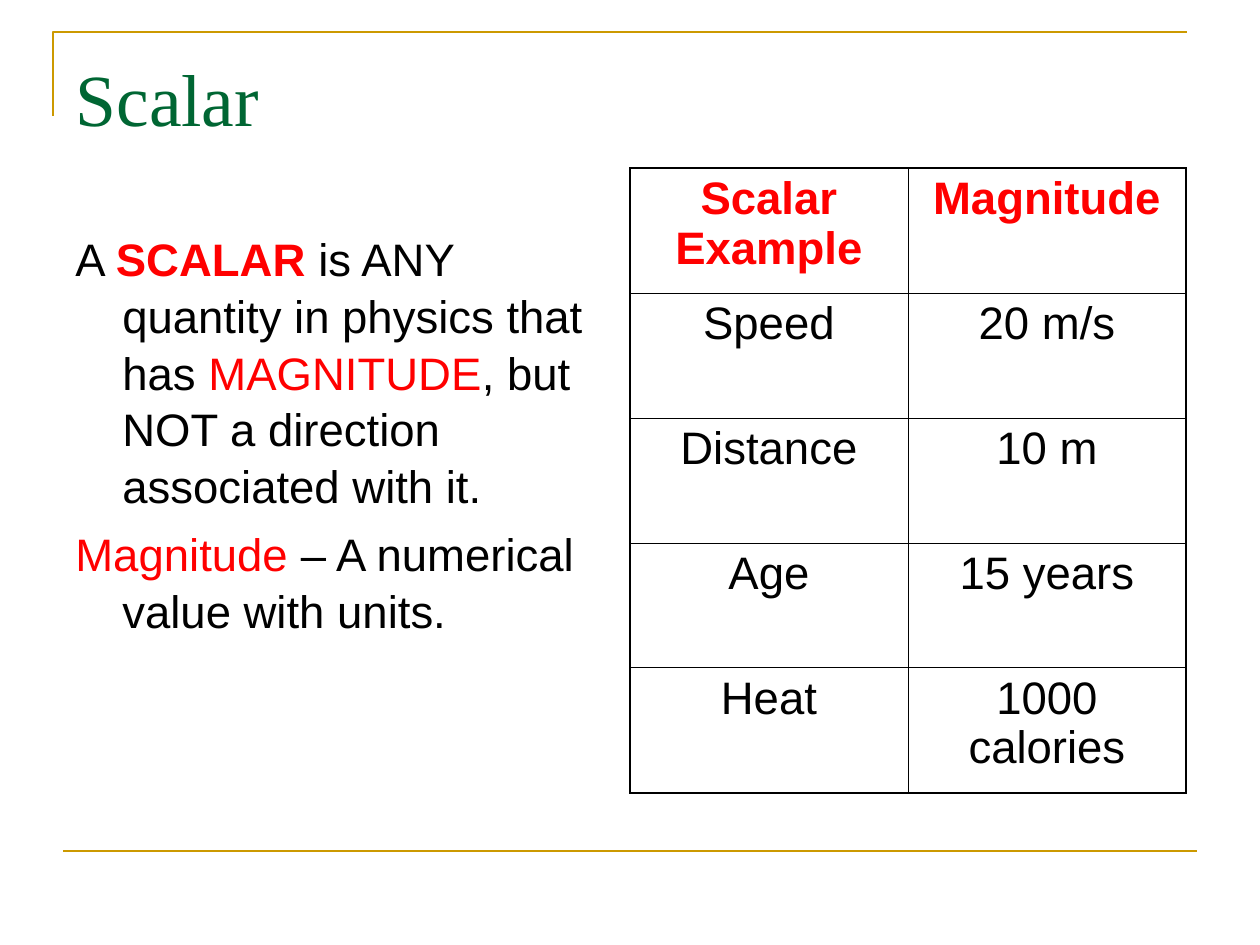
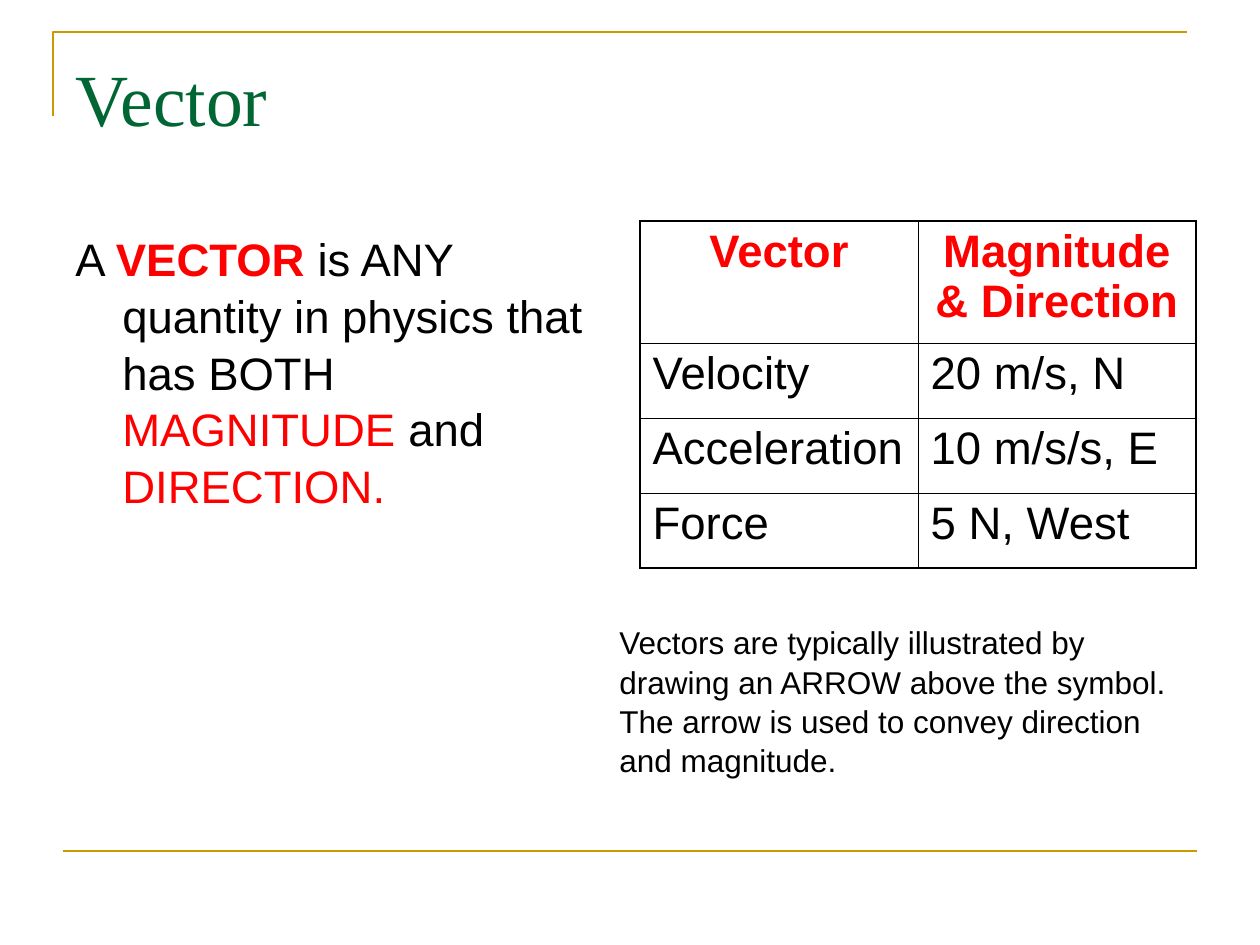
from lxml.etree import SubElement
from pptx import Presentation
from pptx.dml.color import RGBColor
from pptx.enum.shapes import MSO_CONNECTOR
from pptx.enum.text import MSO_ANCHOR, PP_ALIGN
from pptx.oxml.ns import qn
from pptx.util import Emu, Pt

COLORS = {"gold": "CC9900", "green": "006633", "red": "FF0000", "black": "000000"}
SERIF, SANS = "Times New Roman", "Arial"
OUTER, INNER = 1.08, 0.45


def px(n):
    return Emu(round(n * 914400 / 126))


def rgb(name):
    return RGBColor.from_string(COLORS[name])


def add_text(p, text, size=26, font=SANS, color="black", bold=False):
    r = p.add_run()
    r.text = text
    r.font.size, r.font.name, r.font.bold = Pt(size), font, bold
    r.font.color.rgb = rgb(color)


class Deck:
    """Holds the shared style and the current slide."""

    def __init__(self):
        self.prs = Presentation()
        self.prs.slide_width, self.prs.slide_height = px(1260), px(945)
        self.layout = self.prs.slide_layouts[5]
        self.s = None

    def slide(self, title):
        first = self.s is None
        self.s = self.prs.slides.add_slide(self.layout)
        if first:
            self.frame()
        sp = self.s.shapes.title
        sp.left, sp.top, sp.width, sp.height = map(px, (63, 38, 1134, 157))
        tf = self.text_frame(sp, top_inset=15)
        tf.paragraphs[0].alignment = PP_ALIGN.LEFT
        add_text(tf.paragraphs[0], title, size=42, font=SERIF, color="green")

    def frame(self):
        shapes = self.s.shapes
        fb = shapes.build_freeform(px(53), px(116))
        fb.add_line_segments([(px(53), px(32)), (px(1187), px(32))], close=False)
        corner = fb.convert_to_shape()
        corner.fill.background()
        corner.shadow.inherit = False
        rule = shapes.add_connector(MSO_CONNECTOR.STRAIGHT, px(63), px(851), px(1197), px(851))
        SubElement(rule.element.spPr, qn("a:effectLst"))
        for i, sp in enumerate((corner, rule), 20):
            sp.line.color.rgb = rgb("gold")
            sp.line.width = Pt(1.5)
            sp.element.xpath(".//p:cNvPr")[0].set("id", str(i))
            self.layout.shapes.element.append(sp.element)

    def text_frame(self, sp, top_inset):
        tf = sp.text_frame
        tf.word_wrap = True
        tf.vertical_anchor = MSO_ANCHOR.TOP
        tf.margin_top = px(top_inset)
        return tf

    def text(self, x, y, w, h, paragraphs, size=26, hanging=0, before=0, top_inset=9):
        sp = self.s.shapes.add_textbox(px(x), px(y), px(w), px(h))
        tf = self.text_frame(sp, top_inset)
        for i, runs in enumerate(paragraphs):
            p = tf.add_paragraph() if i else tf.paragraphs[0]
            p.line_spacing = 1.04
            p.space_before = Pt(before if i else 0)
            pPr = p._p.get_or_add_pPr()
            pPr.set("marL", str(px(hanging)))
            pPr.set("indent", str(-px(hanging)))
            for text, fmt in runs:
                add_text(p, text, size=size, **fmt)

    def definition(self, *paragraphs):
        self.text(63, 220, 557, 624, paragraphs, hanging=47, before=6.5)

    def table(self, x, y, col_width, row_heights, rows, align):
        n_rows, n_cols = len(rows), len(rows[0])
        tbl = self.s.shapes.add_table(n_rows, n_cols, px(x), px(y),
                                      px(col_width * n_cols), px(sum(row_heights))).table
        tbl.first_row = tbl.horz_banding = False
        for col in tbl.columns:
            col.width = px(col_width)
        for i, (height, row) in enumerate(zip(row_heights, rows)):
            tbl.rows[i].height = px(height)
            for j, text in enumerate(row):
                cell = tbl.cell(i, j)
                edges = {"L": j == 0, "R": j == n_cols - 1, "T": i == 0, "B": i == n_rows - 1}
                self.borders(cell, edges)
                cell.fill.background()
                p = cell.text_frame.paragraphs[0]
                p.line_spacing = 0.98
                p.alignment = align if i else PP_ALIGN.CENTER
                add_text(p, text, color="black" if i else "red", bold=i == 0)

    def borders(self, cell, edges):
        tcPr = cell._tc.get_or_add_tcPr()
        for side, outer in edges.items():
            ln = SubElement(tcPr, qn(f"a:ln{side}"), w=str(Pt(OUTER if outer else INNER)))
            fill = SubElement(ln, qn("a:solidFill"))
            SubElement(fill, qn("a:srgbClr"), val=COLORS["black"])


def main():
    plain, red, strong = {}, {"color": "red"}, {"color": "red", "bold": True}
    deck = Deck()

    deck.slide("Scalar")
    deck.definition(
        [("A ", plain), ("SCALAR", strong), (" is ANY quantity in physics that has ", plain),
         ("MAGNITUDE", red), (", but NOT a direction associated with it.", plain)],
        [("Magnitude", red), (" – A numerical value with units.", plain)])
    deck.table(630, 168, 278, [125] * 5, [
        ("Scalar Example", "Magnitude"),
        ("Speed", "20 m/s"),
        ("Distance", "10 m"),
        ("Age", "15 years"),
        ("Heat", "1000 calories")], PP_ALIGN.CENTER)

    deck.slide("Vector")
    deck.definition(
        [("A ", plain), ("VECTOR", strong), (" is ANY quantity in physics that has BOTH ", plain),
         ("MAGNITUDE", red), (" and ", plain), ("DIRECTION.", red)])
    deck.table(640, 221, 278, [122] + [75] * 3, [
        ("Vector", "Magnitude & Direction"),
        ("Velocity", "20 m/s, N"),
        ("Acceleration", "10 m/s/s, E"),
        ("Force", "5 N, West")], PP_ALIGN.LEFT)
    deck.text(607, 614, 580, 164, [[(
        "Vectors are typically illustrated by drawing an ARROW above the symbol. "
        "The arrow is used to convey direction and magnitude.", plain)]],
        size=18, top_inset=8)

    deck.prs.save("out.pptx")


if __name__ == "__main__":
    main()
